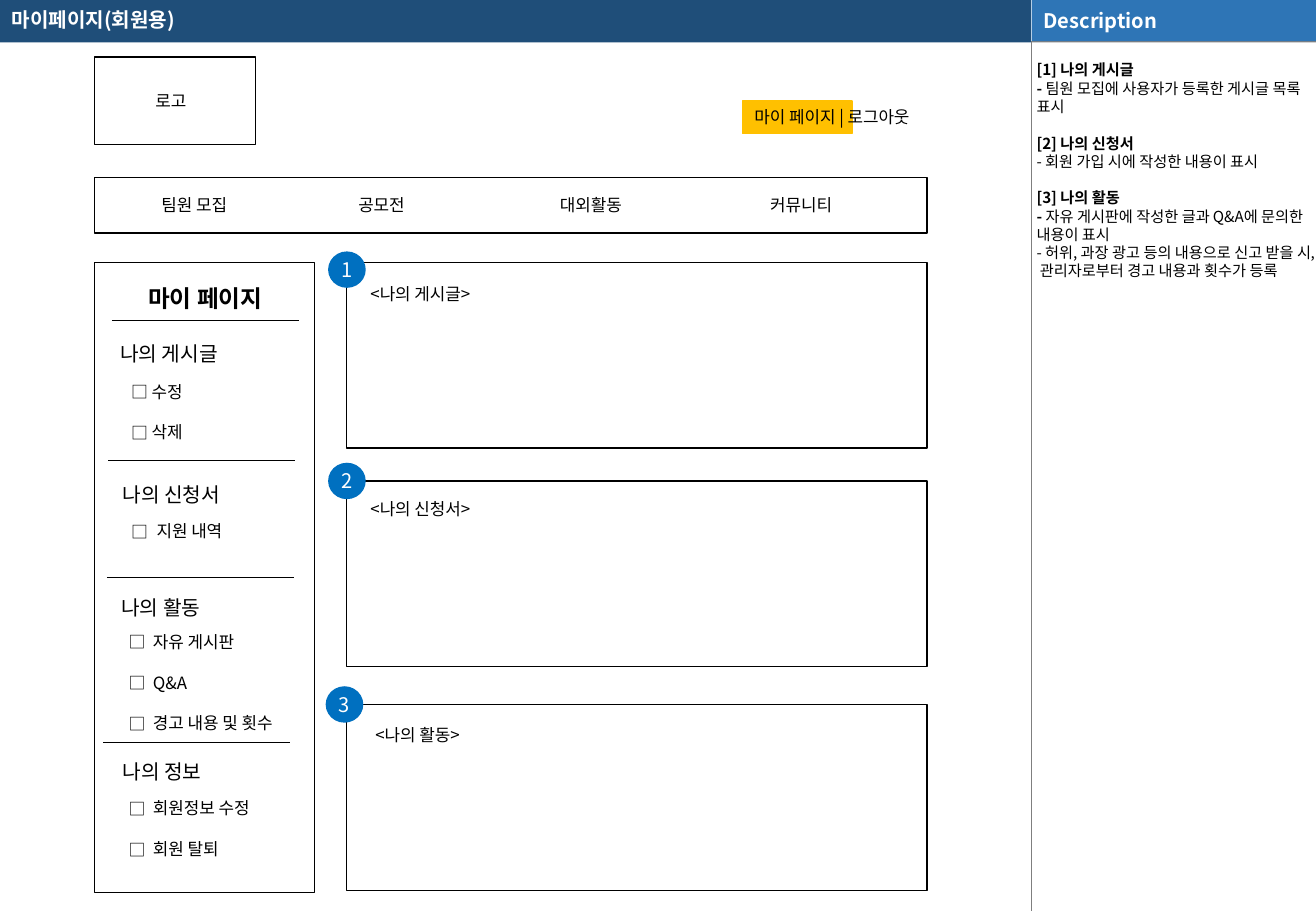
from dataclasses import dataclass

from lxml.etree import SubElement
from pptx import Presentation
from pptx.dml.color import RGBColor
from pptx.enum.shapes import MSO_CONNECTOR, MSO_SHAPE
from pptx.enum.text import MSO_ANCHOR, PP_ALIGN
from pptx.oxml.ns import qn
from pptx.util import Inches, Pt


@dataclass(frozen=True)
class Theme:
    font: str = "Noto Sans CJK KR"
    ink: str = "000000"
    paper: str = "FFFFFF"
    title_bar: str = "1F4E79"
    description_bar: str = "2E75B6"
    bar_edge: str = "808080"
    margin_line: str = "7F7F7F"
    highlight: str = "FFC000"
    badge: str = "0070C0"
    note_size: float = 9
    body_size: float = 10
    bar_size: float = 11.9
    section_size: float = 12
    heading_size: float = 14


class Wireframe:
    def __init__(self, slide, theme):
        self.slide = slide
        self.theme = theme

    def style(self, paragraph, size, color, bold=None):
        font = paragraph.font
        font.name = self.theme.font
        font.size = Pt(size)
        font.color.rgb = RGBColor.from_string(color)
        font.bold = bold
        properties = paragraph._p.pPr.find(qn("a:defRPr"))
        SubElement(properties, qn("a:ea"), typeface=self.theme.font)

    def box(self, left, top, width, height, fill=None, line=None,
            line_width=0.75, kind=MSO_SHAPE.RECTANGLE):
        shape = self.slide.shapes.add_shape(
            kind, Inches(left), Inches(top), Inches(width), Inches(height))
        shape.shadow.inherit = False
        if fill:
            shape.fill.solid()
            shape.fill.fore_color.rgb = RGBColor.from_string(fill)
        else:
            shape.fill.background()
        if line:
            shape.line.color.rgb = RGBColor.from_string(line)
            shape.line.width = Pt(line_width)
        else:
            shape.line.fill.background()
        return shape

    def line(self, start, end, color, width):
        connector = self.slide.shapes.add_connector(
            MSO_CONNECTOR.STRAIGHT, *(Inches(value) for value in start + end))
        connector.line.color.rgb = RGBColor.from_string(color)
        connector.line.width = Pt(width)
        SubElement(connector._element.spPr, qn("a:effectLst"))

    def fill_text(self, shape, text, size, color, bold=None, align=PP_ALIGN.LEFT):
        frame = shape.text_frame
        frame.vertical_anchor = MSO_ANCHOR.MIDDLE
        frame.word_wrap = True
        paragraph = frame.paragraphs[0]
        paragraph.text = text
        paragraph.alignment = align
        self.style(paragraph, size, color, bold)
        return paragraph

    def text_frame(self, left, top, width, height):
        frame = self.slide.shapes.add_textbox(
            Inches(left), Inches(top), Inches(width), Inches(height)).text_frame
        frame.word_wrap = True
        return frame

    def label(self, text, left, top, width, height=0.27, size=None, bold=None,
              align=PP_ALIGN.LEFT):
        paragraph = self.text_frame(left, top, width, height).paragraphs[0]
        paragraph.text = text
        paragraph.alignment = align
        self.style(paragraph, size or self.theme.body_size, self.theme.ink, bold)

    def checklist(self, items, left, top, indent):
        height = 0.27 + 0.34 * (len(items) - 1)
        frame = self.text_frame(left, top, 1.61, height)
        for index, item in enumerate(items):
            paragraph = frame.add_paragraph() if index else frame.paragraphs[0]
            paragraph.text = item
            if index:
                paragraph.space_before = Pt(12.1)
            properties = paragraph._p.get_or_add_pPr()
            properties.set("marL", str(Inches(indent)))
            properties.set("indent", str(-Inches(indent)))
            SubElement(properties, qn("a:buFont"), typeface=self.theme.font)
            SubElement(properties, qn("a:buChar"), char="□")
            self.style(paragraph, self.theme.body_size, self.theme.ink)

    def badge(self, number, left, top):
        circle = self.box(left, top, 0.31, 0.3, self.theme.badge, kind=MSO_SHAPE.OVAL)
        frame = circle.text_frame
        frame.margin_left = frame.margin_right = 0
        frame.margin_top = frame.margin_bottom = 0
        self.fill_text(circle, str(number), self.theme.bar_size, self.theme.paper,
                       align=PP_ALIGN.CENTER)

    def description(self, notes, left, top, width, height):
        frame = self.text_frame(left, top, width, height)
        frame.margin_left = frame.margin_right = Inches(0.04)
        frame.margin_top, frame.margin_bottom = Inches(0.15), 0
        for index, (heading, details) in enumerate(notes):
            paragraph = frame.add_paragraph() if index else frame.paragraphs[0]
            paragraph.text = heading
            if index:
                paragraph.space_before = Pt(10.85)
            self.style(paragraph, self.theme.note_size, self.theme.ink, True)
            for dash_bold, detail in details:
                paragraph = frame.add_paragraph()
                self.style(paragraph, self.theme.note_size, self.theme.ink)
                dash = paragraph.add_run()
                dash.text = "- "
                if dash_bold:
                    dash.font.bold = True
                paragraph.add_run().text = detail


MENU = [("팀원 모집", 1.23), ("공모전", 2.85), ("대외활동", 4.51), ("커뮤니티", 6.24)]
SECTIONS = [
    ("나의 게시글", 0.89, 2.76, ["수정", "삭제"], 0.98, 3.09, 0.17),
    ("나의 신청서", 0.91, 3.92, ["지원 내역"], 0.98, 4.24, 0.21),
    ("나의 활동", 0.9, 4.85, ["자유 게시판", "Q&A", "경고 내용 및 횟수"], 0.96, 5.15, 0.2),
    ("나의 정보", 0.91, 6.2, ["회원정보 수정", "회원 탈퇴"], 0.96, 6.52, 0.2),
]
DIVIDERS = [(0.92, 2.64), (0.89, 3.79), (0.88, 4.75), (0.85, 6.11)]
PANELS = [
    ("<나의 게시글>", 2.16, 2.95, 2.29, 2.7, 2.07),
    ("<나의 신청서>", 3.96, 2.95, 4.06, 2.7, 3.81),
    ("<나의 활동>", 5.8, 2.99, 5.92, 2.68, 5.65),
]
NOTES = [
    ("[1] 나의 게시글", [(True, "팀원 모집에 사용자가 등록한 게시글 목록 표시")]),
    ("[2] 나의 신청서", [(False, "회원 가입 시에 작성한 내용이 표시")]),
    ("[3] 나의 활동", [
        (True, "자유 게시판에 작성한 글과 Q&A에 문의한 내용이 표시"),
        (False, "허위, 과장 광고 등의 내용으로 신고 받을 시, "
                "관리자로부터 경고 내용과 횟수가 등록"),
    ]),
]


def main():
    presentation = Presentation()
    presentation.slide_width = Inches(10.83)
    presentation.slide_height = Inches(7.5)
    theme = Theme()
    page = Wireframe(presentation.slides.add_slide(presentation.slide_layouts[6]), theme)

    title_bar = page.box(0, 0, 8.49, 0.35, theme.title_bar)
    title = page.fill_text(title_bar, "마이페이지(회원용)", theme.bar_size, theme.paper, True)
    title.line_spacing = 0.9
    page.box(8.49, 0, 2.34, 0.35, theme.bar_edge)
    page.line((8.49, 0), (8.49, 0.35), theme.paper, 0.25)
    page.line((8.49, 0.34), (8.49, 7.5), theme.margin_line, 0.25)
    description_bar = page.box(8.49, 0, 2.34, 0.34, theme.description_bar)
    page.fill_text(description_bar, "Description", theme.bar_size, theme.paper, True)

    page.box(6.11, 0.83, 0.9, 0.27, theme.highlight, theme.highlight, 1)
    page.label("마이 페이지 | 로그아웃", 6.11, 0.83, 1.69)
    page.box(0.78, 0.47, 1.32, 0.72, line=theme.ink)
    page.label("로고", 1.18, 0.7, 0.5)
    page.box(0.78, 1.46, 6.85, 0.46, line=theme.ink)
    for text, left in MENU:
        page.label(text, left, 1.55, 0.81)

    page.box(0.78, 2.16, 1.81, 5.19, line=theme.ink)
    page.label("마이 페이지", 0.95, 2.29, 1.48, 0.34, theme.heading_size, True,
               PP_ALIGN.CENTER)
    for left, top in DIVIDERS:
        page.line((left, top), (left + 1.54, top), theme.ink, 0.5)
    for heading, left, top, items, items_left, items_top, indent in SECTIONS:
        page.label(heading, left, top, 1.15, 0.3, theme.section_size)
        page.checklist(items, items_left, items_top, indent)

    for number, (text, top, text_left, text_top, badge_left, badge_top) in enumerate(PANELS, 1):
        page.box(2.85, top, 4.78, 1.53, line=theme.ink)
        page.label(text, text_left, text_top, 1.15)
        page.badge(number, badge_left, badge_top)

    page.description(NOTES, 8.49, 0.35, 2.34, 7.15)
    presentation.save("out.pptx")


if __name__ == "__main__":
    main()
